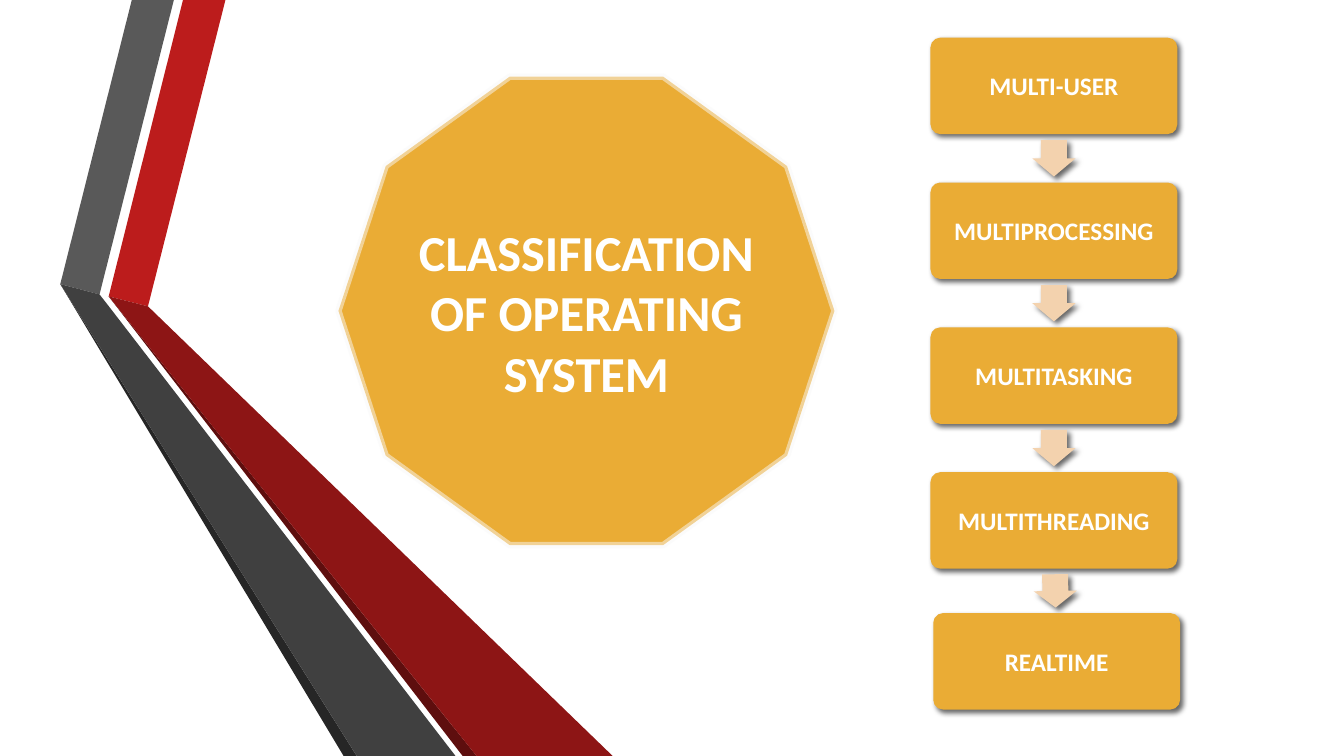
from pptx import Presentation
from pptx.dml.color import RGBColor
from pptx.enum.shapes import MSO_SHAPE as SHAPE
from pptx.enum.text import MSO_ANCHOR as ANCHOR, PP_ALIGN as ALIGN
from pptx.oxml import parse_xml
from pptx.oxml.ns import nsdecls, qn
from pptx.util import Cm, Pt
from lxml.etree import SubElement

TITLE = "CLASSIFICATION OF OPERATING SYSTEM"
GOLD, PEACH, WHITE = "EAAC35", "F3D2AE", "FFFFFF"
BOX_W, BOX_H = 6.22, 2.43
STEPS = [
    ("MULTI-USER", 23.45, 0.95),
    ("MULTIPROCESSING", 23.45, 4.6),
    ("MULTITASKING", 23.45, 8.25),
    ("MULTITHREADING", 23.45, 11.9),
    ("REALTIME", 23.52, 15.45),
]
ARROW_TURNS = [90, 90, 90, 89]
RIBBONS = [
    ("BC1C1C", [(2.74, 7.47), (3.73, 7.72), (5.69, -0.03), (4.62, -0.03)]),
    ("595959", [(2.51, 7.42), (4.39, -0.03), (3.33, -0.03), (1.52, 7.16)]),
    ("262626", [(1.52, 7.16), (8.66, 19.05), (8.99, 19.05)]),
    ("5E0E0E", [(12.01, 19.05), (2.74, 7.47), (11.66, 19.05)]),
    ("8D1515", [(2.74, 7.47), (12.01, 19.05), (15.44, 19.05), (3.73, 7.72)]),
    ("404040", [(11.48, 19.05), (2.69, 7.65), (2.51, 7.42), (1.52, 7.16), (8.99, 19.05)]),
]


def rgb(value):
    return RGBColor.from_string(value)


def paint(s, color):
    s.shadow.inherit = False
    s.fill.solid()
    s.fill.fore_color.rgb = rgb(color)
    s.line.fill.background()
    return s


def add_shape(kind, x, y, w, h, color):
    return paint(shapes.add_shape(kind, Cm(x), Cm(y), Cm(w), Cm(h)), color)


def write(s, text, size):
    tf = s.text_frame
    tf.text = text
    tf.word_wrap = True
    tf.vertical_anchor = ANCHOR.MIDDLE
    tf.margin_left = tf.margin_right = tf.margin_top = tf.margin_bottom = Cm(0.18)
    p = tf.paragraphs[0]
    p.alignment = ALIGN.CENTER
    font = p.runs[0].font
    font.name, font.size, font.bold = "Calibri", Pt(size), True
    font.color.rgb = rgb(WHITE)


def cast_shadow(s):
    effects = s._element.spPr.find(qn("a:effectLst"))
    effects.append(parse_xml(
        f'<a:outerShdw {nsdecls("a")} blurRad="{Pt(4)}" dist="{Pt(3)}" dir="2700000" '
        'algn="ctr" rotWithShape="0"><a:srgbClr val="000000"><a:alpha val="60000"/>'
        '</a:srgbClr></a:outerShdw>'))


prs = Presentation()
prs.slide_width, prs.slide_height = Cm(33.87), Cm(19.05)
slide = prs.slides.add_slide(prs.slide_layouts[5])
shapes = slide.shapes

for color, points in RIBBONS:
    corners = [(Cm(x), Cm(y)) for x, y in points]
    outline = shapes.build_freeform(*corners[0])
    outline.add_line_segments(corners[1:])
    paint(outline.convert_to_shape(), color)

for i, (label, x, y) in enumerate(STEPS):
    box = add_shape(SHAPE.ROUNDED_RECTANGLE, x, y, BOX_W, BOX_H, GOLD)
    box.adjustments[0] = 0.1
    cast_shadow(box)
    write(box, label, 18)
    if i < len(ARROW_TURNS):
        next_x, next_y = STEPS[i + 1][1:]
        gap = next_y - y - BOX_H
        length, breadth = gap * 0.75, 1.09
        mid_x = (x + next_x + BOX_W) / 2
        mid_y = next_y - gap / 2
        arrow = add_shape(SHAPE.RIGHT_ARROW, mid_x - length / 2, mid_y - breadth / 2,
                          length, breadth, PEACH)
        arrow.adjustments[0], arrow.adjustments[1] = 0.6, 0.5
        arrow.rotation = ARROW_TURNS[i]
        cast_shadow(arrow)

decagon = add_shape(SHAPE.DECAGON, 8.53, 1.93, 12.5, 11.81, GOLD)
decagon.line.color.rgb = rgb("F9F9F9")
decagon.line.width = Pt(4.6)
line_color = decagon.line._ln.find(".//" + qn("a:srgbClr"))
SubElement(line_color, qn("a:alpha")).set("val", "50000")

title = shapes.title
title.left, title.top, title.width, title.height = Cm(9.98), Cm(4.2), Cm(9.6), Cm(7.3)
write(title, TITLE, 36)
shapes._spTree.append(title._element)

prs.save("out.pptx")
